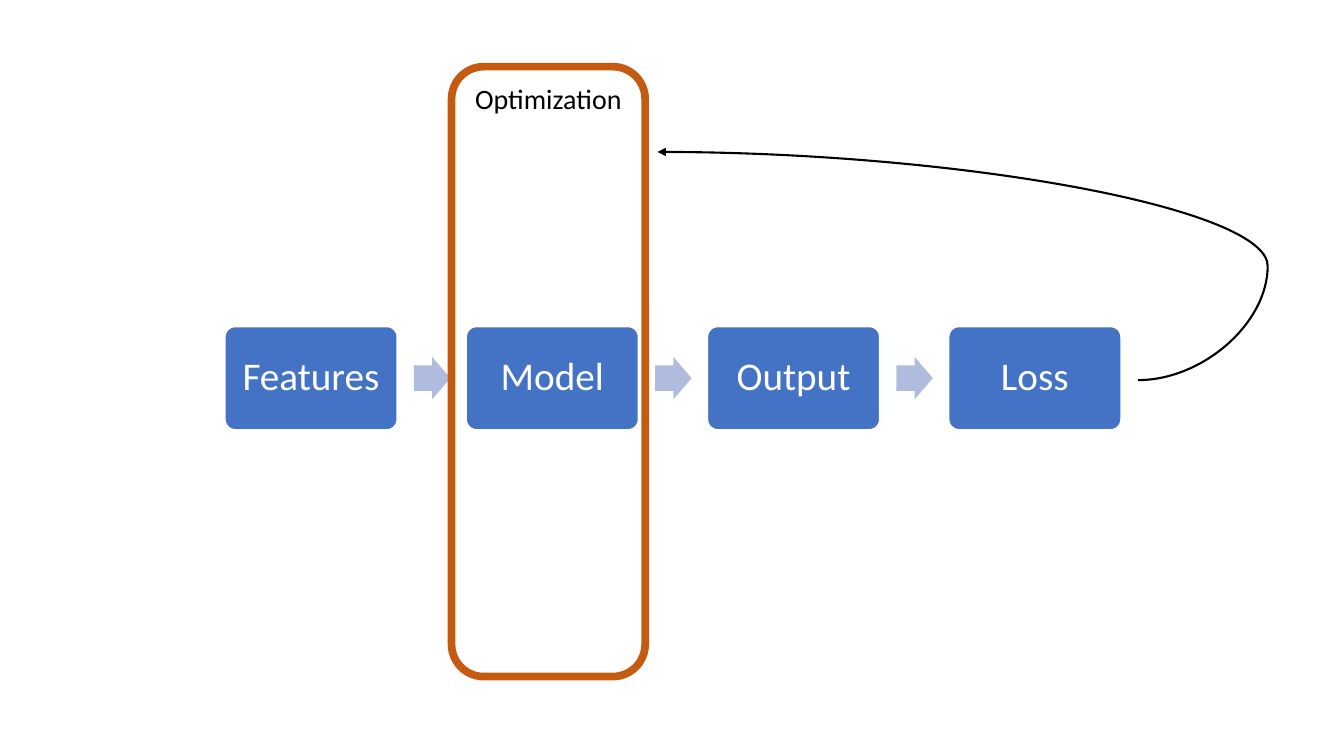
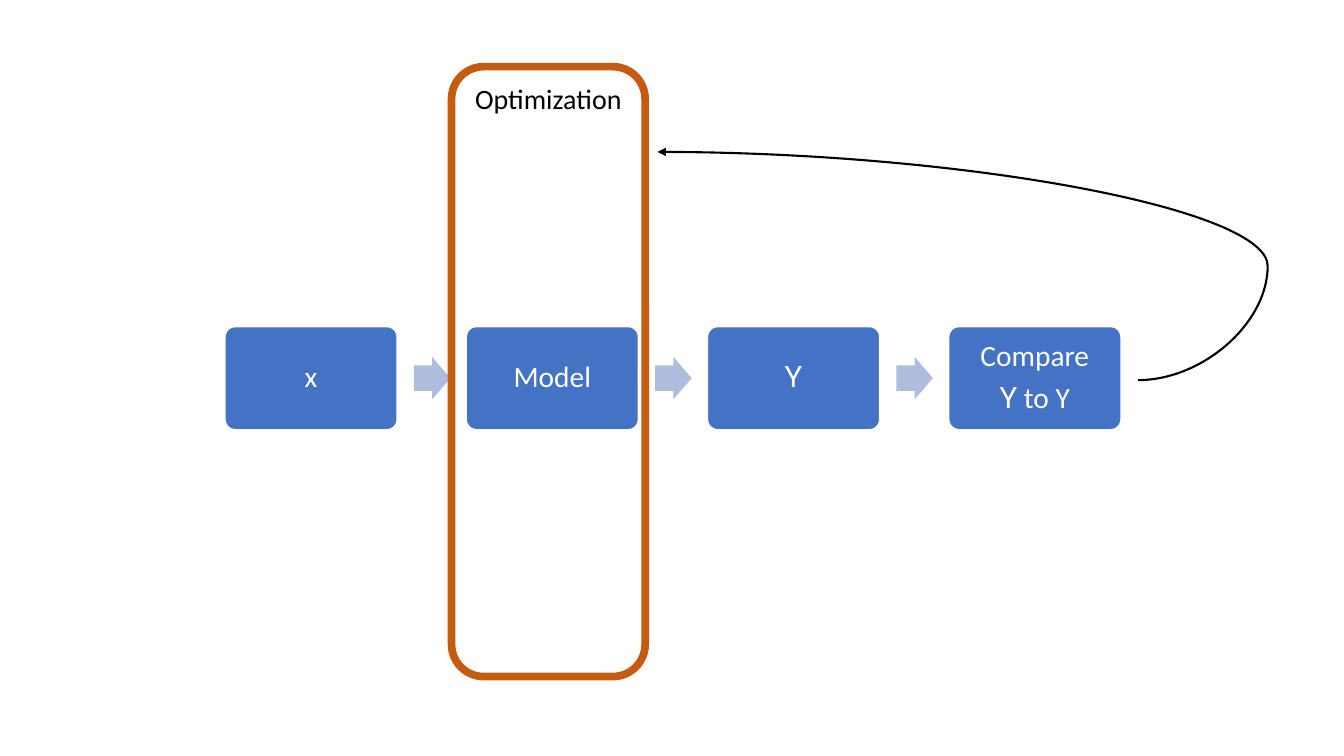
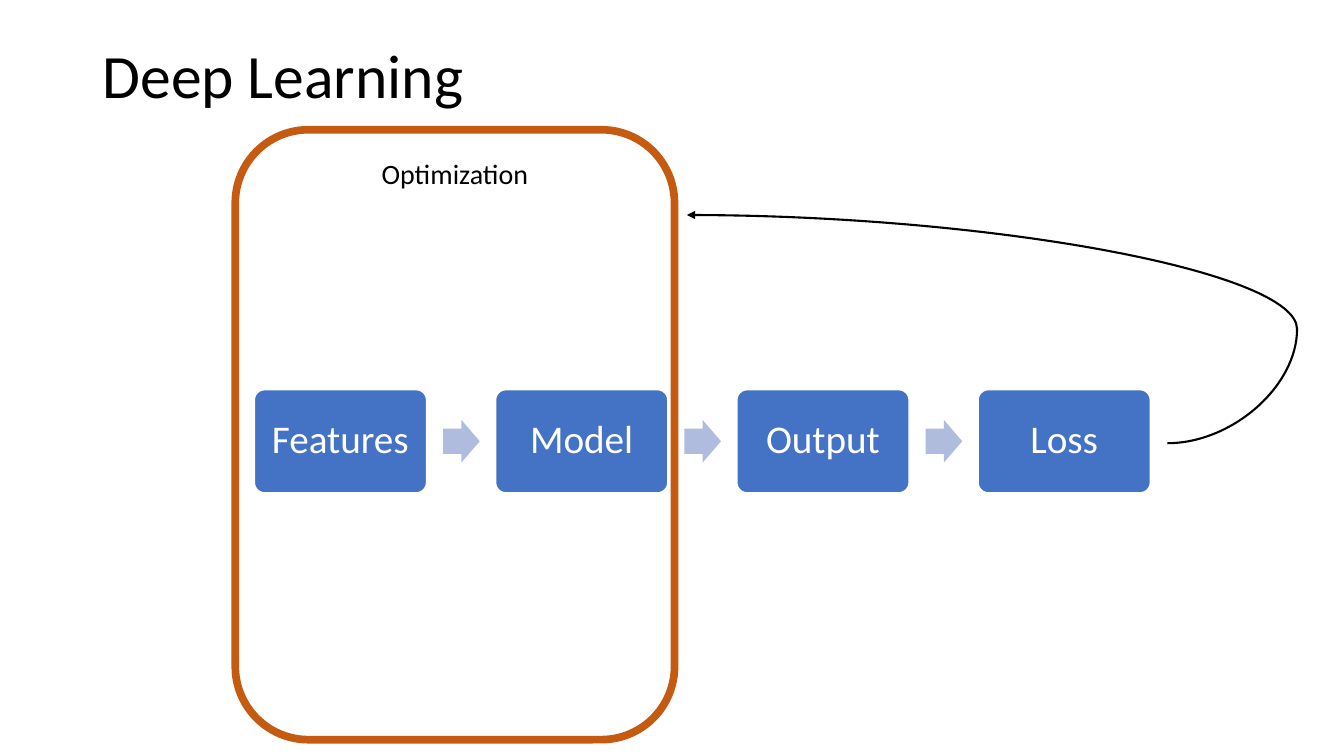
from dataclasses import dataclass

from lxml import etree
from pptx import Presentation
from pptx.dml.color import RGBColor
from pptx.enum.shapes import MSO_CONNECTOR, MSO_SHAPE
from pptx.enum.text import MSO_ANCHOR, PP_ALIGN
from pptx.oxml.ns import qn
from pptx.util import Cm, Pt

ROUNDED = MSO_SHAPE.ROUNDED_RECTANGLE
ARROW = MSO_SHAPE.RIGHT_ARROW
CURVE = MSO_CONNECTOR.CURVE
LEFT, CENTER = PP_ALIGN.LEFT, PP_ALIGN.CENTER
TOP, MIDDLE = MSO_ANCHOR.TOP, MSO_ANCHOR.MIDDLE
TITLE_ONLY, BLANK = 5, 6


@dataclass(frozen=True)
class Theme:
    font: str = "Calibri"
    symbol_font: str = "Roboto"
    ink: str = "000000"
    paper: str = "FFFFFF"
    card: str = "4472C4"
    arrow: str = "B0BCDE"
    frame: str = "C55A11"
    title_size: int = 44
    card_size: int = 28
    small_card_size: int = 21
    frame_size: int = 20


THEME = Theme()

# Row of cards, in cm; the frame and loop are placed relative to its corner
CARD_W, CARD_H, CARD_PITCH = 4.34, 2.6, 6.08
ARROW_X, ARROW_W, ARROW_H = 4.76, 0.92, 1.07
FRAME_RIGHT, FRAME_RISE, FRAME_H = 10.59, 6.55, 15.37
LOOP_START, LOOP_END = (23.01, 1.35), (10.9, -4.4)
LOOP_BULGE = -0.27


def write_text(frame, text, *, size, color, align=CENTER, anchor=TOP,
               line_spacing=1.0, space_after=0, inset=None):
    """Write a string, or paragraphs given as lists of (text, font) runs."""
    paragraphs = [[(text, THEME.font)]] if isinstance(text, str) else text
    frame.word_wrap = True
    frame.vertical_anchor = anchor
    if inset is not None:
        frame.margin_left = frame.margin_right = Cm(inset)
        frame.margin_top = frame.margin_bottom = Cm(inset)
    for index, runs in enumerate(paragraphs):
        paragraph = frame.add_paragraph() if index else frame.paragraphs[0]
        paragraph.alignment = align
        paragraph.line_spacing = line_spacing
        paragraph.space_after = Pt(space_after)
        for words, font in runs:
            run = paragraph.add_run()
            run.text = words
            run.font.name = font
            run.font.size = Pt(size)
            run.font.color.rgb = RGBColor.from_string(color)


class Deck:
    def __init__(self, theme):
        self.theme = theme
        self.presentation = Presentation()
        self.presentation.slide_width = Cm(33.87)
        self.presentation.slide_height = Cm(19.05)
        self.slide = None

    def new_slide(self, title=None):
        layout = TITLE_ONLY if title else BLANK
        layouts = self.presentation.slide_layouts
        self.slide = self.presentation.slides.add_slide(layouts[layout])
        if title:
            heading = self.slide.shapes.title
            heading.left, heading.top = Cm(2.33), Cm(1.01)
            heading.width, heading.height = Cm(29.21), Cm(3.68)
            write_text(heading.text_frame, title, size=self.theme.title_size,
                       color=self.theme.ink, align=LEFT, line_spacing=0.9)

    def shape(self, kind, x, y, width, height, fill=None, line=None, line_width=1):
        shape = self.slide.shapes.add_shape(
            kind, Cm(x), Cm(y), Cm(width), Cm(height))
        shape.shadow.inherit = False
        if fill:
            shape.fill.solid()
            shape.fill.fore_color.rgb = RGBColor.from_string(fill)
        else:
            shape.fill.background()
        if line:
            shape.line.color.rgb = RGBColor.from_string(line)
            shape.line.width = Pt(line_width)
        else:
            shape.line.fill.background()
        return shape

    def card(self, x, y, text, size):
        card = self.shape(ROUNDED, x, y, CARD_W, CARD_H,
                          self.theme.card, self.theme.paper)
        card.adjustments[0] = 0.1
        write_text(card.text_frame, text, size=size, color=self.theme.paper,
                   anchor=MIDDLE, line_spacing=0.9, space_after=0.35 * size,
                   inset=0.011 * size)

    def arrow(self, x, y):
        arrow = self.shape(ARROW, x, y, ARROW_W, ARROW_H, self.theme.arrow)
        arrow.adjustments[0] = 0.6

    def frame(self, x, y, width, text):
        frame = self.shape(ROUNDED, x, y, width, FRAME_H,
                           line=self.theme.frame, line_width=5.5)
        write_text(frame.text_frame, text, size=self.theme.frame_size,
                   color=self.theme.ink)

    def loop(self, start, end):
        loop = self.slide.shapes.add_connector(
            CURVE, *(Cm(length) for length in (*start, *end)))
        loop.line.color.rgb = RGBColor.from_string(self.theme.ink)
        loop.line.width = Pt(1.5)
        properties = loop.element.spPr
        # The bulge reaches past the start of the curve
        guides = properties.find(qn("a:prstGeom")).get_or_add_avLst()
        etree.SubElement(guides, qn("a:gd"), name="adj1",
                         fmla=f"val {round(LOOP_BULGE * 100000)}")
        etree.SubElement(properties.find(qn("a:ln")), qn("a:tailEnd"),
                         type="triangle")
        etree.SubElement(properties, qn("a:effectLst"))

    def pipeline(self, x, y, steps, size, frame_width):
        # Cards with an arrow between neighbours
        for index, step in enumerate(steps):
            card_x = x + index * CARD_PITCH
            if index:
                self.arrow(card_x - CARD_PITCH + ARROW_X,
                           y + (CARD_H - ARROW_H) / 2)
            self.card(card_x, y, step, size)
        # Optimized part and the feedback to it
        self.frame(x + FRAME_RIGHT - frame_width, y - FRAME_RISE,
                   frame_width, "Optimization")
        self.loop(*((x + dx, y + dy) for dx, dy in (LOOP_START, LOOP_END)))


def main():
    deck = Deck(THEME)
    stages = ["Features", "Model", "Output", "Loss"]
    prediction = ("Y", THEME.symbol_font)
    symbols = ["x", "Model", [[prediction]],
               [[("Compare", THEME.font)], [prediction, (" to Y", THEME.font)]]]

    # Model optimization, in words and in symbols
    for steps, size in ((stages, THEME.card_size),
                        (symbols, THEME.small_card_size)):
        deck.new_slide()
        deck.pipeline(5.67, 8.23, steps, size, frame_width=4.88)

    # Deep learning optimizes the features too
    deck.new_slide("Deep Learning")
    deck.pipeline(6.41, 9.82, stages, THEME.card_size, frame_width=11.07)

    deck.presentation.save("out.pptx")


if __name__ == "__main__":
    main()
